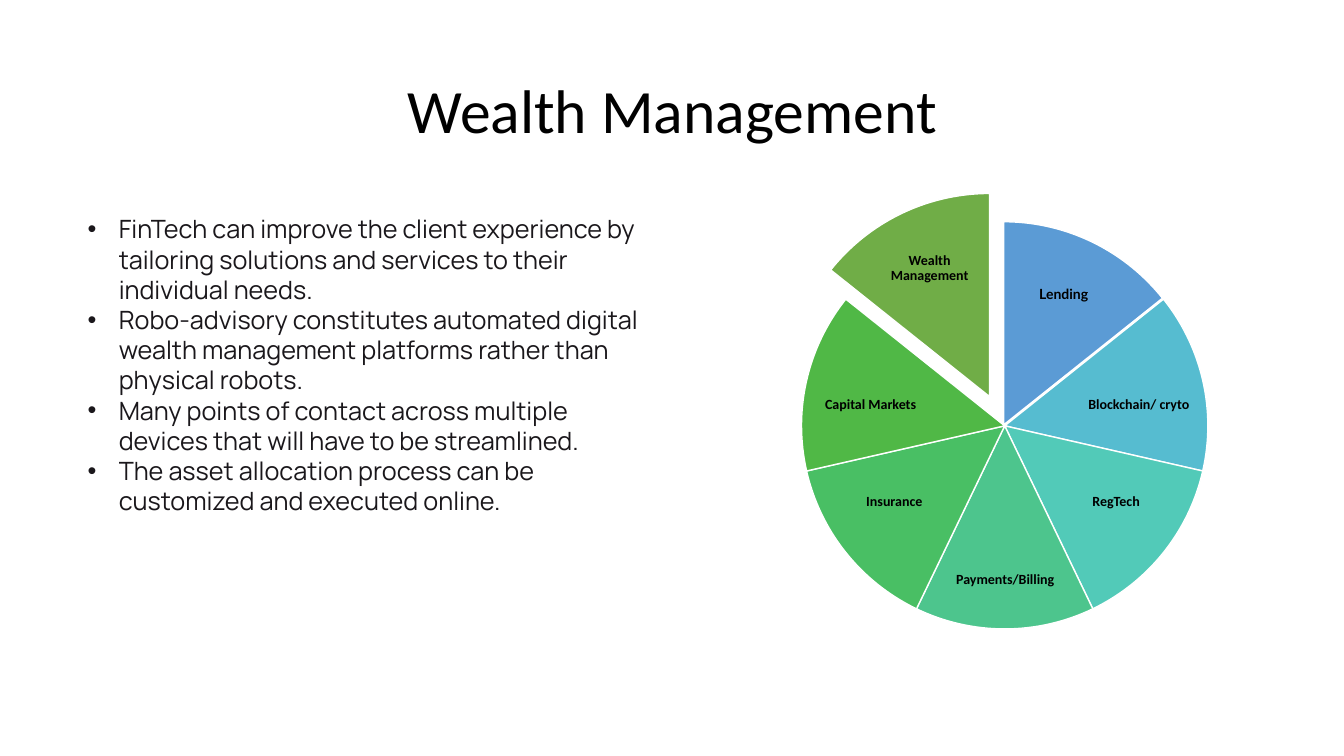
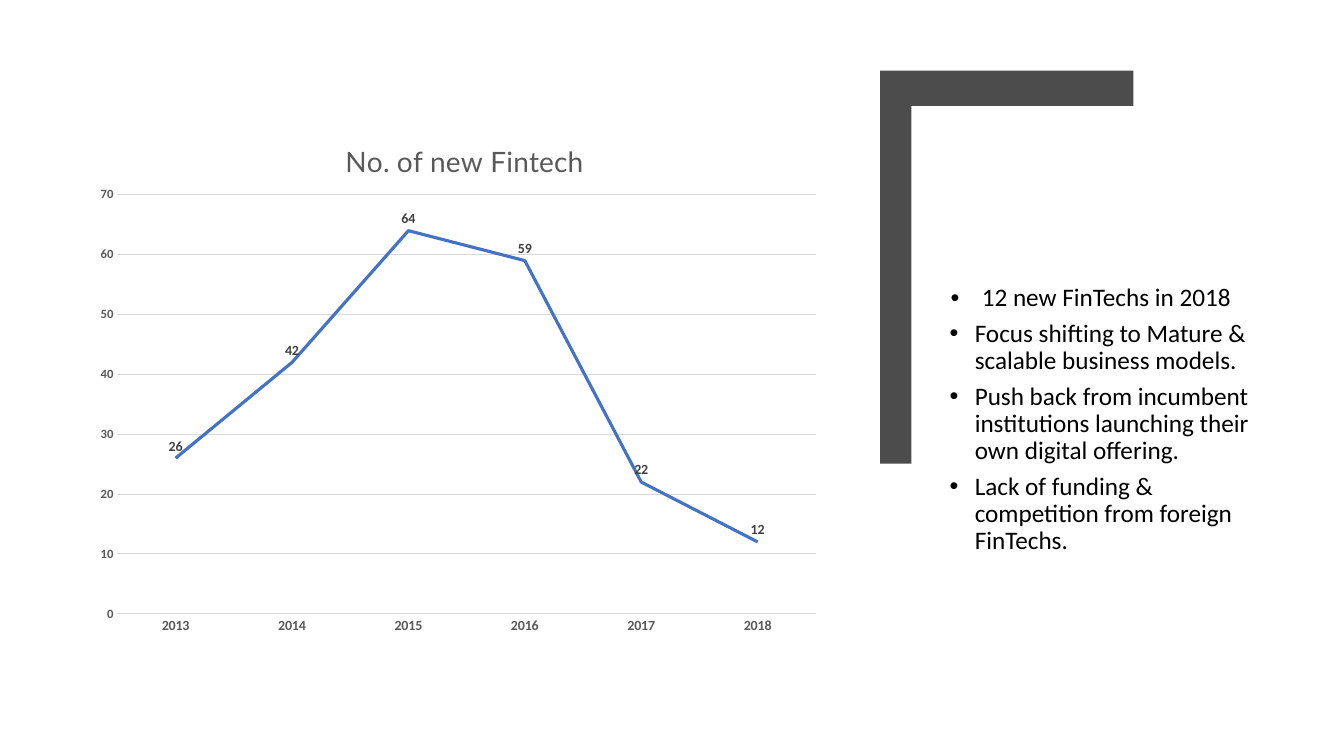
from lxml import etree
from pptx import Presentation
from pptx.chart.data import CategoryChartData
from pptx.dml.color import RGBColor
from pptx.enum.chart import XL_CHART_TYPE, XL_LABEL_POSITION, XL_TICK_MARK
from pptx.enum.shapes import MSO_SHAPE
from pptx.enum.text import MSO_ANCHOR, PP_ALIGN
from pptx.oxml.ns import qn
from pptx.util import Inches, Pt

LINE, ABOVE, NO_TICK = XL_CHART_TYPE.LINE, XL_LABEL_POSITION.ABOVE, XL_TICK_MARK.NONE
PIE, TOP, MIDDLE = MSO_SHAPE.PIE, MSO_ANCHOR.TOP, MSO_ANCHOR.MIDDLE
LEFT, CENTER = PP_ALIGN.LEFT, PP_ALIGN.CENTER

BLACK, WHITE = RGBColor(0, 0, 0), RGBColor(255, 255, 255)
AXIS_GREY, GRID_GREY = RGBColor.from_string("595959"), RGBColor.from_string("D9D9D9")
THEME = {
    "frame": RGBColor.from_string("4C4C4C"),
    "series": RGBColor.from_string("4472C4"),
    "title": {"name": "Calibri", "size": Pt(44), "color": BLACK},
    "body": {"name": "Calibri", "size": Pt(18), "color": BLACK},
    "body_dark": {"name": "Manrope", "size": Pt(18), "color": RGBColor.from_string("1A171B")},
    "wedge": {"name": "Calibri", "size": Pt(10), "bold": True, "color": BLACK},
    "chart": {"name": "Calibri", "size": Pt(10), "color": BLACK},
    "chart_title": {"name": "Lato", "size": Pt(20), "bold": False, "color": AXIS_GREY},
    "category": {"name": "Calibri", "size": Pt(10), "bold": True, "color": AXIS_GREY},
    "value": {"name": "Calibri", "size": Pt(9), "bold": True, "color": AXIS_GREY},
    "label": {"name": "Calibri", "size": Pt(10), "bold": True,
              "color": RGBColor.from_string("404040")},
}


def style_font(font, style):
    for key, value in style.items():
        if key == "color":
            font.color.rgb = value
        else:
            setattr(font, key, value)


def add_text(shapes, box, lines, style, align=LEFT, anchor=TOP, inset=None,
             spacing=0.9, after=0, indents=None):
    """Add a text box; indents holds a (margin, hanging) pair in inches per bullet."""
    frame = shapes.add_textbox(*map(Inches, box)).text_frame
    frame.word_wrap = True
    frame.vertical_anchor = anchor
    if inset is not None:
        for side in ("left", "top", "right", "bottom"):
            setattr(frame, f"margin_{side}", Inches(inset))
    for i, line in enumerate(lines):
        paragraph = frame.paragraphs[0] if i == 0 else frame.add_paragraph()
        if indents:
            margin, hanging = indents[i]
            properties = paragraph._p.get_or_add_pPr()
            properties.set("marL", str(Inches(margin)))
            properties.set("indent", str(-Inches(hanging)))
            etree.SubElement(properties, qn("a:buFont")).set("typeface", "Arial")
            etree.SubElement(properties, qn("a:buChar")).set("char", "•")
        paragraph.alignment = align
        paragraph.line_spacing = spacing
        paragraph.space_after = Pt(after)
        run = paragraph.add_run()
        run.text = line
        style_font(run.font, style)


prs = Presentation()
prs.slide_width, prs.slide_height = Inches(13.33), Inches(7.5)
blank = prs.slide_layouts[6]

# Wealth management: text and a wheel of seven equal wedges
wealth = prs.slides.add_slide(blank)
add_text(wealth.shapes, (0.92, 0.4, 11.5, 1.45), ["Wealth Management"],
         THEME["title"], CENTER, MIDDLE)

WHEEL_LEFT, WHEEL_TOP, WHEEL_SIZE = 7.95, 2.21, 4.03
# name, fill, label box, label font, offset of the wedge from the wheel
wedges = [
    ("Lending", "5B9BD5", (10, 2.58, 1.1, 0.7), "Lato", (-0.01, -0.01)),
    ("Blockchain/ cryto", "56BCD0", (10.71, 3.65, 1.17, 0.74), "Calibri", (0, 0)),
    ("RegTech", "52CAB8", (10.54, 4.6, 1.06, 0.77), "Calibri", (0, 0)),
    ("Payments/Billing", "4DC58D", (9.43, 5.37, 1.08, 0.77), "Calibri", (0, 0)),
    ("Insurance", "49BF64", (8.34, 4.6, 1.06, 0.77), "Calibri", (0, 0)),
    ("Capital Markets", "50B846", (8.05, 3.65, 1.17, 0.74), "Calibri", (0, 0)),
    ("Wealth Management", "70AD47", (8.67, 2.31, 1.1, 0.7), "Calibri", (-0.15, -0.29)),
]
wheel = wealth.shapes.add_group_shape().shapes
# Pie adjustments count in units of 5/3 degree, clockwise from the right
FULL_TURN, TWELVE_OCLOCK = 216, 162
sweep = FULL_TURN / len(wedges)
for i, (name, fill, label_box, font_name, (dx, dy)) in enumerate(wedges):
    wedge = wheel.add_shape(PIE, Inches(WHEEL_LEFT + dx), Inches(WHEEL_TOP + dy),
                            Inches(WHEEL_SIZE), Inches(WHEEL_SIZE))
    for edge in (0, 1):
        wedge.adjustments[edge] = (TWELVE_OCLOCK + (i + edge) * sweep) % FULL_TURN
    wedge.shadow.inherit = False
    wedge.fill.solid()
    wedge.fill.fore_color.rgb = RGBColor.from_string(fill)
    wedge.line.color.rgb = WHITE
    wedge.line.width = Pt(1)
    add_text(wheel, label_box, [name], {**THEME["wedge"], "name": font_name},
             CENTER, MIDDLE, inset=0.01)

benefits = [
    "FinTech can improve the client experience by tailoring solutions and services "
    "to their individual needs.",
    "Robo-advisory constitutes automated digital wealth management platforms rather "
    "than physical robots.",
    "Many points of contact across multiple devices that will have to be streamlined.",
    "The asset allocation process can be customized and executed online.",
]
add_text(wealth.shapes, (0.77, 2.07, 5.9, 3.43), benefits, THEME["body_dark"],
         spacing=1.0, indents=[(0.31, 0.31)] * len(benefits))

# New FinTechs per year: line chart with framed findings
growth = prs.slides.add_slide(blank)
findings = [
    "12 new FinTechs in 2018",
    "Focus shifting to Mature & scalable business models.",
    "Push back from incumbent institutions launching their own digital offering.",
    "Lack of funding & competition from foreign FinTechs.",
]
add_text(growth.shapes, (9.26, 2.78, 3.34, 4.02), findings, THEME["body"], after=6,
         indents=[(0.38, 0.31)] + [(0.31, 0.25)] * 3)

corner = [(8.73, 0.7), (11.24, 0.7), (11.24, 1.05), (9.04, 1.05), (9.04, 4.6), (8.73, 4.6)]
outline = [(Inches(x), Inches(y)) for x, y in corner]
builder = growth.shapes.build_freeform(*outline[0])
builder.add_line_segments(outline[1:], close=True)
frame_corner = builder.convert_to_shape()
frame_corner.shadow.inherit = False
frame_corner.fill.solid()
frame_corner.fill.fore_color.rgb = THEME["frame"]
frame_corner.line.fill.background()

data = CategoryChartData()
data.categories = ["2013", "2014", "2015", "2016", "2017", "2018"]
data.add_series("Series 1", (26, 42, 64, 59, 22, 12))
chart = growth.shapes.add_chart(LINE, Inches(0.87), Inches(1.08), Inches(7.37),
                                Inches(5.33), data).chart
style_font(chart.font, THEME["chart"])
chart.has_legend = False
chart.has_title = True
heading = chart.chart_title.text_frame.paragraphs[0].add_run()
heading.text = "No. of new Fintech"
style_font(heading.font, THEME["chart_title"])

years, counts = chart.category_axis, chart.value_axis
for axis, style in ((years, "category"), (counts, "value")):
    axis.major_tick_mark = axis.minor_tick_mark = NO_TICK
    style_font(axis.tick_labels.font, THEME[style])
counts.minimum_scale, counts.maximum_scale, counts.major_unit = 0, 70, 10
counts.has_major_gridlines = True
counts.format.line.fill.background()
for line in (years.format.line, counts.major_gridlines.format.line):
    line.color.rgb = GRID_GREY
    line.width = Pt(0.75)

plot = chart.plots[0]
plot.vary_by_categories = False
new_fintechs = plot.series[0]
new_fintechs.smooth = False
new_fintechs.format.line.color.rgb = THEME["series"]
new_fintechs.format.line.width = Pt(2.25)
labels = new_fintechs.data_labels
labels.show_value = True
labels.position = ABOVE
style_font(labels.font, THEME["label"])

# Fixed places for title and plot area, as fractions of the chart
places = [
    ("c:title", 1, {"xMode": "edge", "yMode": "edge", "x": 0.34, "y": 0.05}),
    ("c:plotArea", 0, {"layoutTarget": "inner", "xMode": "edge", "yMode": "edge",
                       "x": 0.04, "y": 0.16, "w": 0.94, "h": 0.78}),
]
for tag, position, values in places:
    part = chart.element.find(".//" + qn(tag))
    for old in part.findall(qn("c:layout")):
        part.remove(old)
    layout = etree.Element(qn("c:layout"))
    part.insert(position, layout)
    manual = etree.SubElement(layout, qn("c:manualLayout"))
    for key, value in values.items():
        etree.SubElement(manual, qn(f"c:{key}")).set("val", str(value))

prs.save("out.pptx")
